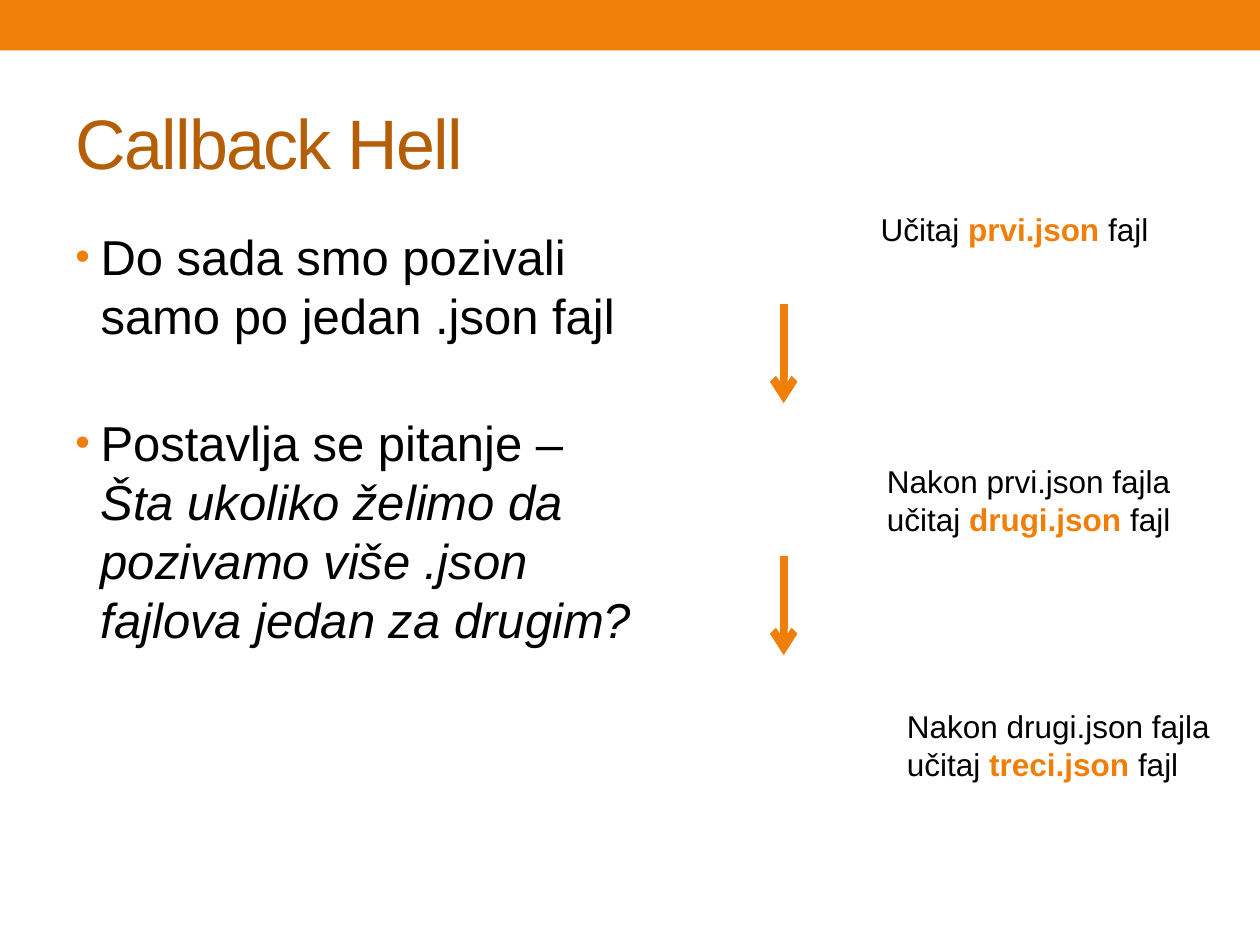
from dataclasses import dataclass

from lxml import etree
from pptx import Presentation
from pptx import util as u
from pptx.dml import color
from pptx.enum import shapes, text
from pptx.oxml import ns


@dataclass(frozen=True)
class Theme:
    font: str = "Arial"
    accent: str = "F07F09"
    heading: str = "B45F07"
    ink: str = "000000"
    title_size: int = 40
    body_size: int = 28
    label_size: int = 18
    arrow_width: float = 4.5


THEME = Theme()


def inches(*lengths):
    return [u.Inches(length) for length in lengths]


def rgb(value):
    return color.RGBColor.from_string(value)


def add_span(para, words, size, tint=THEME.ink, bold=False, italic=False):
    span = para.add_run()
    span.text = words
    font = span.font
    font.name, font.size = THEME.font, u.Pt(size)
    font.bold, font.italic = bold, italic
    font.color.rgb = rgb(tint)
    return span


def add_bullet(para):
    props = para._p.get_or_add_pPr()
    props.set("marL", str(u.Inches(0.2)))
    props.set("indent", str(u.Inches(-0.2)))
    tint = etree.SubElement(props, ns.qn("a:buClr"))
    etree.SubElement(tint, ns.qn("a:srgbClr"), val=THEME.accent)
    etree.SubElement(props, ns.qn("a:buSzPct"), val="85000")
    etree.SubElement(props, ns.qn("a:buFont"), typeface=THEME.font)
    etree.SubElement(props, ns.qn("a:buChar"), char="•")


def add_banner(page, box):
    banner = page.shapes.add_shape(shapes.MSO_SHAPE.RECTANGLE, *inches(*box))
    banner.shadow.inherit = False
    banner.fill.solid()
    banner.fill.fore_color.rgb = rgb(THEME.accent)
    banner.line.fill.background()


def add_title(page, box, words):
    title = page.shapes.title
    title.left, title.top, title.width, title.height = inches(*box)
    frame = title.text_frame
    frame.auto_size = text.MSO_AUTO_SIZE.NONE
    frame.vertical_anchor = text.MSO_ANCHOR.MIDDLE
    para = frame.paragraphs[0]
    para.alignment = text.PP_ALIGN.LEFT
    span = add_span(para, words, THEME.title_size, THEME.heading)
    span.font._element.set("spc", "-100")


def add_bullets(page, box, items):
    frame = page.shapes.add_textbox(*inches(*box)).text_frame
    frame.word_wrap = True
    for index, item in enumerate(items):
        para = frame.add_paragraph() if index else frame.paragraphs[0]
        if index:
            para.space_before = u.Pt(39)
        add_bullet(para)
        for words, italic in item:
            add_span(para, words, THEME.body_size, italic=italic)


def add_label(page, box, intro, lead, filename):
    frame = page.shapes.add_textbox(*inches(*box)).text_frame
    frame.word_wrap = False
    frame.auto_size = text.MSO_AUTO_SIZE.SHAPE_TO_FIT_TEXT
    para = frame.paragraphs[0]
    if intro:
        add_span(para, intro, THEME.label_size)
        para.add_line_break()
    add_span(para, lead, THEME.label_size)
    add_span(para, filename, THEME.label_size, THEME.accent, bold=True)
    add_span(para, " fajl", THEME.label_size)


def add_arrow(page, left, top, length):
    arrow = page.shapes.add_connector(
        shapes.MSO_CONNECTOR.STRAIGHT, *inches(left, top, left, top + length))
    arrow.line.color.rgb = rgb(THEME.accent)
    arrow.line.width = u.Pt(THEME.arrow_width)
    etree.SubElement(arrow.line._get_or_add_ln(), ns.qn("a:tailEnd"), type="arrow")
    etree.SubElement(arrow._element.spPr, ns.qn("a:effectLst"))


def add_loading_steps(page, box):
    left, top, width, height = box
    steps = [
        (0.67, 0, 2.35, 0.4, "", "Učitaj ", "prvi.json"),
        (0.72, 2, 2.47, 0.71, "Nakon prvi.json fajla", "učitaj ", "drugi.json"),
        (0.88, 3.94, 2.63, 0.71, "Nakon drugi.json fajla", "učitaj ", "treci.json"),
    ]
    for index in range(len(steps) - 1):
        add_arrow(page, left, top + 0.79 + 2 * index, 0.79)
    for across, down, wide, high, *words in steps:
        add_label(page, (left + across, top + down, wide, high), *words)


def main():
    deck = Presentation()
    deck.slide_width, deck.slide_height = inches(10, 7.5)
    page = deck.slides.add_slide(deck.slide_layouts.get_by_name("Title Only"))
    add_banner(page, (0, 0, 10, 0.4))
    add_title(page, (0.5, 0.58, 9, 1.08), "Callback Hell")
    add_bullets(page, (0.5, 1.75, 4.66, 5.31), [
        [("Do sada smo pozivali samo po jedan .json fajl", False)],
        [("Postavlja se pitanje – ", False),
         ("Šta ukoliko želimo da pozivamo više .json fajlova jedan za drugim?", True)],
    ])
    add_loading_steps(page, (6.22, 1.62, 3.51, 4.65))
    deck.save("out.pptx")


if __name__ == "__main__":
    main()
